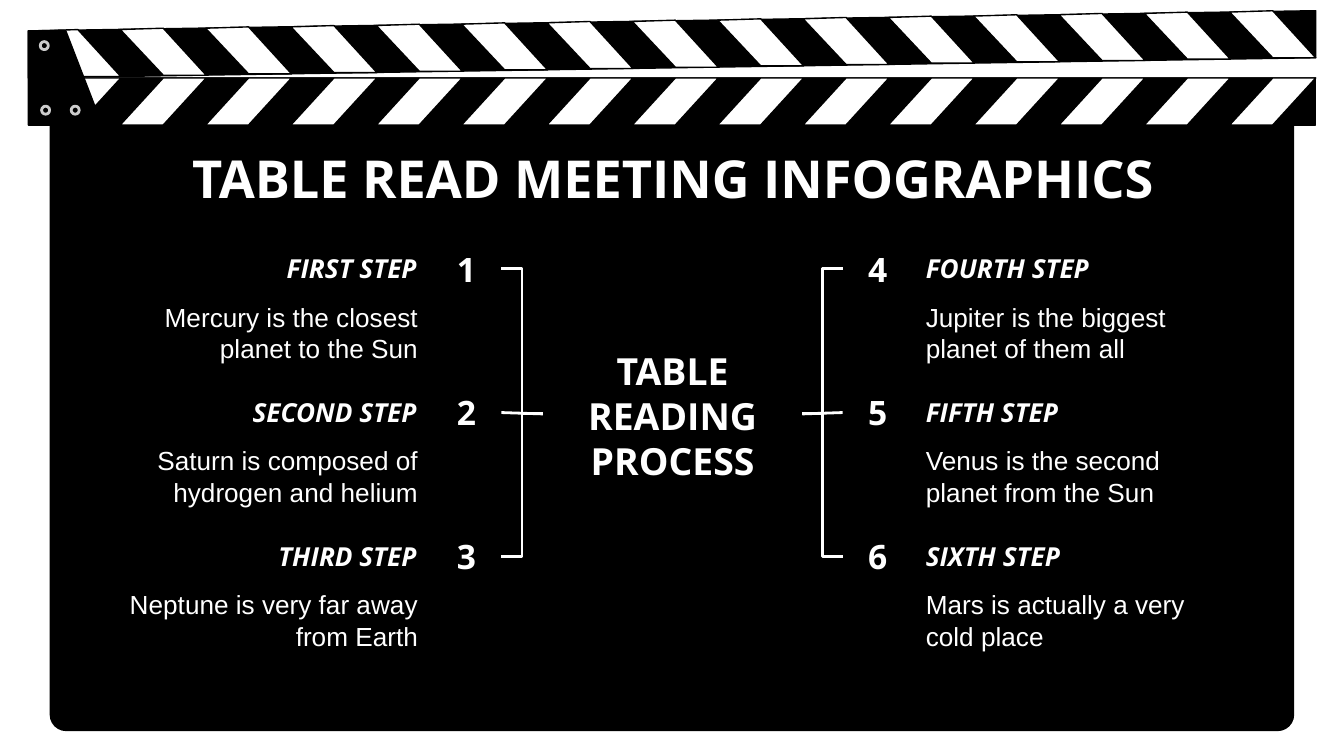
from dataclasses import dataclass

from lxml.etree import SubElement
from pptx import Presentation
from pptx.dml.color import RGBColor
from pptx.enum.shapes import MSO_CONNECTOR as Connector, MSO_SHAPE as Preset
from pptx.enum.text import MSO_ANCHOR as Anchor, MSO_AUTO_SIZE as AutoSize, PP_ALIGN as Align
from pptx.oxml.ns import qn
from pptx.shapes.autoshape import Shape
from pptx.shapes.connector import Connector as Line
from pptx.slide import Slide
from pptx.util import Inches, Pt

Point = tuple[float, float]


@dataclass(frozen=True)
class Theme:
    black: str = "000000"
    white: str = "FFFFFF"
    seam: str = "171717"
    rivet: str = "CCCCCC"
    display: str = "Open Sans"
    body: str = "Arial"
    title_size: float = 28
    center_size: float = 20
    number_size: float = 18
    step_size: float = 14
    edge: float = 0.75
    seam_width: float = 0.48
    bold_line: float = 1.5


@dataclass(frozen=True)
class Step:
    heading: str
    detail: str


@dataclass(frozen=True)
class Side:
    steps: tuple[Step, ...]
    first_number: int
    heading_left: float
    detail_left: float
    number_left: float
    align: Align
    center_site: int
    number_site: int


THEME = Theme()
ROW_TOP, ROW_PITCH = 1.78, 1.07
STRIPE_LEFT, STRIPE_LAST, STRIPE_COUNT = 0.26, 9.15, 15
STRIPE_WIDTH, BAR_HEIGHT, LOWER_TOP = 0.32, 0.35, 0.58
RIVETS = ((0.3, 0.31), (0.31, 0.79), (0.53, 0.79))

SIDES = (
    Side(
        (
            Step("FIRST STEP", "Mercury is the closest planet to the Sun"),
            Step("SECOND STEP", "Saturn is composed of hydrogen and helium"),
            Step("THIRD STEP", "Neptune is very far away from Earth"),
        ),
        1, 0.77, 0.78, 3.21, Align.RIGHT, 1, 3,
    ),
    Side(
        (
            Step("FOURTH STEP", "Jupiter is the biggest planet of them all"),
            Step("FIFTH STEP", "Venus is the second planet from the Sun"),
            Step("SIXTH STEP", "Mars is actually a very cold place"),
        ),
        4, 6.79, 6.79, 6.27, Align.LEFT, 3, 1,
    ),
)


def color(value: str) -> RGBColor:
    return RGBColor.from_string(value)


def paint(shape: Shape, fill: str, line: str | None = None, width: float = THEME.edge) -> None:
    shape.shadow.inherit = False
    shape.fill.solid()
    shape.fill.fore_color.rgb = color(fill)
    if line is None:
        shape.line.fill.background()
    else:
        shape.line.color.rgb = color(line)
        shape.line.width = Pt(width)


def add_polygon(page: Slide, points: list[Point], fill: str) -> None:
    start, *others = [(Inches(x), Inches(y)) for x, y in points]
    builder = page.shapes.build_freeform(*start)
    builder.add_line_segments(others, close=True)
    paint(builder.convert_to_shape(), fill, THEME.black)


def add_line(page: Slide, kind: Connector, start: Point, end: Point,
             line_color: str = THEME.white, width: float = THEME.bold_line) -> Line:
    line = page.shapes.add_connector(kind, *(Inches(value) for value in start + end))
    line.line.color.rgb = color(line_color)
    line.line.width = Pt(width)
    SubElement(line.element.spPr, qn("a:effectLst"))
    return line


def write(box: Shape, text: str, *, size: float, font: str = THEME.display, bold: bool = True,
          italic: bool = False, align: Align = Align.CENTER, anchor: Anchor = Anchor.TOP) -> None:
    frame = box.text_frame
    frame.word_wrap = True
    frame.auto_size = AutoSize.NONE
    frame.vertical_anchor = anchor
    frame.margin_left = frame.margin_right = Inches(0.1)
    frame.margin_top = frame.margin_bottom = Inches(0.1)
    para = frame.paragraphs[0]
    para.alignment = align
    span = para.add_run()
    span.text = text
    span.font.name = font
    span.font.size = Pt(size)
    span.font.bold = bold
    span.font.italic = italic
    span.font.color.rgb = color(THEME.white)


def add_text(page: Slide, left: float, top: float, width: float, height: float,
             text: str, **style) -> Shape:
    box = page.shapes.add_textbox(Inches(left), Inches(top), Inches(width), Inches(height))
    write(box, text, **style)
    return box


def add_clapper(page: Slide) -> None:
    board = page.shapes.add_shape(
        Preset.ROUNDED_RECTANGLE, Inches(0.37), Inches(0.72), Inches(9.26), Inches(4.72))
    board.adjustments[0] = 0.026
    paint(board, THEME.black)

    pitch = (STRIPE_LAST - STRIPE_LEFT) / (STRIPE_COUNT - 1)
    lefts = [STRIPE_LEFT + index * pitch for index in range(STRIPE_COUNT)]
    bottom = LOWER_TOP + BAR_HEIGHT
    add_polygon(page, [(0.21, LOWER_TOP), (0.21, bottom), (9.79, bottom), (9.79, LOWER_TOP)],
                THEME.black)
    for left in lefts:
        middle, right = left + STRIPE_WIDTH, left + 2 * STRIPE_WIDTH
        add_polygon(page, [(middle, LOWER_TOP), (left, bottom), (middle, bottom),
                           (right, LOWER_TOP)], THEME.white)

    add_polygon(page, [(9.79, 0.08), (0.21, 0.23), (0.21, 0.58), (9.79, 0.43)], THEME.black)
    for index, left in enumerate(lefts):
        top = 0.22 - 0.01 * index
        middle, right = left + STRIPE_WIDTH, left + 2 * STRIPE_WIDTH
        add_polygon(page, [(middle, top), (left, top + 0.01), (middle, top + BAR_HEIGHT),
                           (right, top + BAR_HEIGHT)], THEME.white)

    add_line(page, Connector.STRAIGHT, (0.21, LOWER_TOP), (9.79, LOWER_TOP),
             THEME.seam, THEME.seam_width)
    add_polygon(page, [(0.21, 0.23), (0.21, bottom), (0.76, bottom), (0.49, 0.23)], THEME.black)
    for left, top in RIVETS:
        rivet = page.shapes.add_shape(
            Preset.OVAL, Inches(left), Inches(top), Inches(0.06), Inches(0.06))
        paint(rivet, THEME.black, THEME.rivet, THEME.bold_line)


def add_title(page: Slide) -> None:
    title = page.shapes.title
    title.left, title.top = Inches(0.79), Inches(0.99)
    title.width, title.height = Inches(8.43), Inches(0.63)
    write(title, "TABLE READ MEETING INFOGRAPHICS", size=THEME.title_size)
    page.shapes.element.append(title.element)


def add_side(page: Slide, side: Side, center: Shape) -> None:
    for row, step in enumerate(side.steps):
        top = ROW_TOP + row * ROW_PITCH
        add_text(page, side.heading_left, top, 2.43, 0.44, step.heading,
                 size=THEME.step_size, italic=True, align=side.align)
        number = add_text(page, side.number_left, top, 0.52, 0.44, str(side.first_number + row),
                          size=THEME.number_size, anchor=Anchor.MIDDLE)
        add_text(page, side.detail_left, top + 0.36, 2.43, 0.63, step.detail,
                 size=THEME.step_size, font=THEME.body, bold=False, align=side.align)
        kind = Connector.STRAIGHT if row == 1 else Connector.ELBOW
        link = add_line(page, kind, (0, 0), (1, 1))
        link.begin_connect(center, side.center_site)
        link.end_connect(number, side.number_site)


def main() -> None:
    deck = Presentation()
    deck.slide_width = Inches(10)
    deck.slide_height = deck.slide_width * 9 // 16
    page = deck.slides.add_slide(deck.slide_layouts[5])
    add_clapper(page)
    add_title(page)
    center = add_text(page, 4.04, 2.49, 1.93, 1.18, "TABLE READING PROCESS",
                      size=THEME.center_size)
    for side in SIDES:
        add_side(page, side, center)
    deck.save("out.pptx")


if __name__ == "__main__":
    main()
